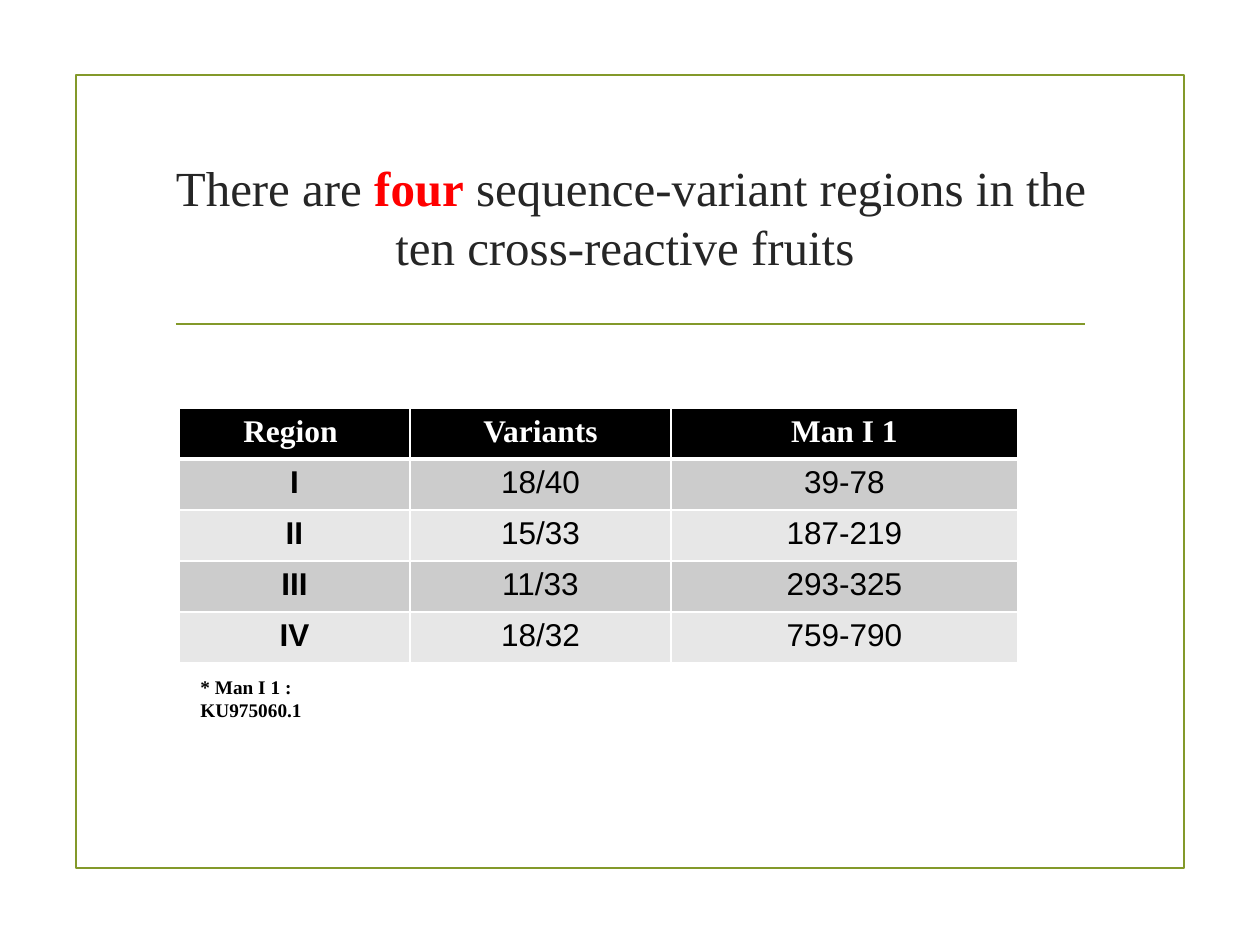
import pptx
import pptx.dml.color
import pptx.enum.shapes
import pptx.enum.text
import pptx.oxml
import pptx.oxml.ns
import pptx.util

RGB = pptx.dml.color.RGBColor
GREEN = RGB(0x83, 0x99, 0x2A)
INK = RGB(0x26, 0x26, 0x26)
RED = RGB(0xFF, 0x00, 0x00)
BLACK = RGB(0x00, 0x00, 0x00)
WHITE = RGB(0xFF, 0xFF, 0xFF)
GREY = RGB(0xCC, 0xCC, 0xCC)
PALE = RGB(0xE7, 0xE7, 0xE7)
SERIF, SANS = "Times New Roman", "Arial"
MID = pptx.enum.text.PP_ALIGN.CENTER
ROWS = [
    ("Region ", "Variants", "Man I 1"),
    ("I", "18/40", "39-78"),
    ("II", "15/33", "187-219"),
    ("III", "11/33", "293-325"),
    ("IV", "18/32", "759-790"),
]


def px(num):
    return pptx.util.Emu(round(num * 914400 / 126))


class Deck:
    """Holds the style and the current slide, and draws each kind of element."""

    def __init__(self, wide, high):
        self.file = pptx.Presentation()
        self.file.slide_width, self.file.slide_height = px(wide), px(high)
        self.slide = self.file.slides.add_slide(self.file.slide_layouts[6])
        self.line = pptx.util.Pt(1.25)

    def frame(self, *box):
        kind = pptx.enum.shapes.MSO_SHAPE.RECTANGLE
        shape = self.slide.shapes.add_shape(kind, *map(px, box))
        shape.shadow.inherit = False
        shape.fill.background()
        shape.line.color.rgb, shape.line.width = GREEN, self.line

    def rule(self, *ends):
        kind = pptx.enum.shapes.MSO_CONNECTOR.STRAIGHT
        line = self.slide.shapes.add_connector(kind, *map(px, ends))
        line.line.color.rgb, line.line.width = GREEN, self.line
        props = line._element.spPr
        props.append(pptx.oxml.parse_xml(f'<a:effectLst {pptx.oxml.ns.nsdecls("a")}/>'))

    def style(self, para, size, face=SERIF, color=BLACK, bold=False, align=None):
        font = para.font
        font.size, font.name, font.bold = pptx.util.Pt(size), face, bold
        font.color.rgb = color
        para.alignment = align

    def text(self, box, runs, size, anchor="TOP", **look):
        frame = self.slide.shapes.add_textbox(*map(px, box)).text_frame
        frame.word_wrap = True
        frame.vertical_anchor = pptx.enum.text.MSO_ANCHOR[anchor]
        para = frame.paragraphs[0]
        self.style(para, size, **look)
        for words, color in runs:
            run = para.add_run()
            run.text = words
            if color:
                run.font.color.rgb, run.font.bold = color, True

    def edge(self, cell, head):
        props = cell._tc.get_or_add_tcPr()
        for spot, side in enumerate("LRTB"):
            width = pptx.util.Pt(3 if head and side == "B" else 1)
            props.insert(spot, pptx.oxml.parse_xml(
                f'<a:ln{side} {pptx.oxml.ns.nsdecls("a")} w="{width}"><a:solidFill>'
                f'<a:srgbClr val="{WHITE}"/></a:solidFill></a:ln{side}>'))

    def table(self, left, top, cols, high, rows):
        box = map(px, (left, top, sum(cols), high * len(rows)))
        table = self.slide.shapes.add_table(len(rows), len(cols), *box).table
        for col, wide in zip(table.columns, cols):
            col.width = px(wide)
        for i, row in enumerate(rows):
            table.rows[i].height = px(high)
            head = i == 0
            for j, words in enumerate(row):
                cell = table.cell(i, j)
                cell.text = words
                cell.fill.solid()
                cell.fill.fore_color.rgb = BLACK if head else GREY if i % 2 else PALE
                self.style(cell.text_frame.paragraphs[0], 18, SERIF if head else SANS,
                           WHITE if head else BLACK, head or j == 0, MID)
                self.edge(cell, head or False)


def main():
    deck = Deck(1260, 945)
    deck.frame(76, 75, 1108, 793)
    deck.rule(176, 324, 1085, 324)
    title = [("There are ", None), ("four", RED),
             (" sequence-variant regions in the ten cross-reactive fruits ", None)]
    deck.text((162, 126, 938, 180), title, 28, "MIDDLE", color=INK, align=MID)
    deck.table(179, 408, (231, 261, 347), 51, ROWS)
    deck.text((188, 669, 213, 37), [("* Man I 1 : KU975060.1", None)], 11, bold=True)
    deck.file.save("out.pptx")


if __name__ == "__main__":
    main()
